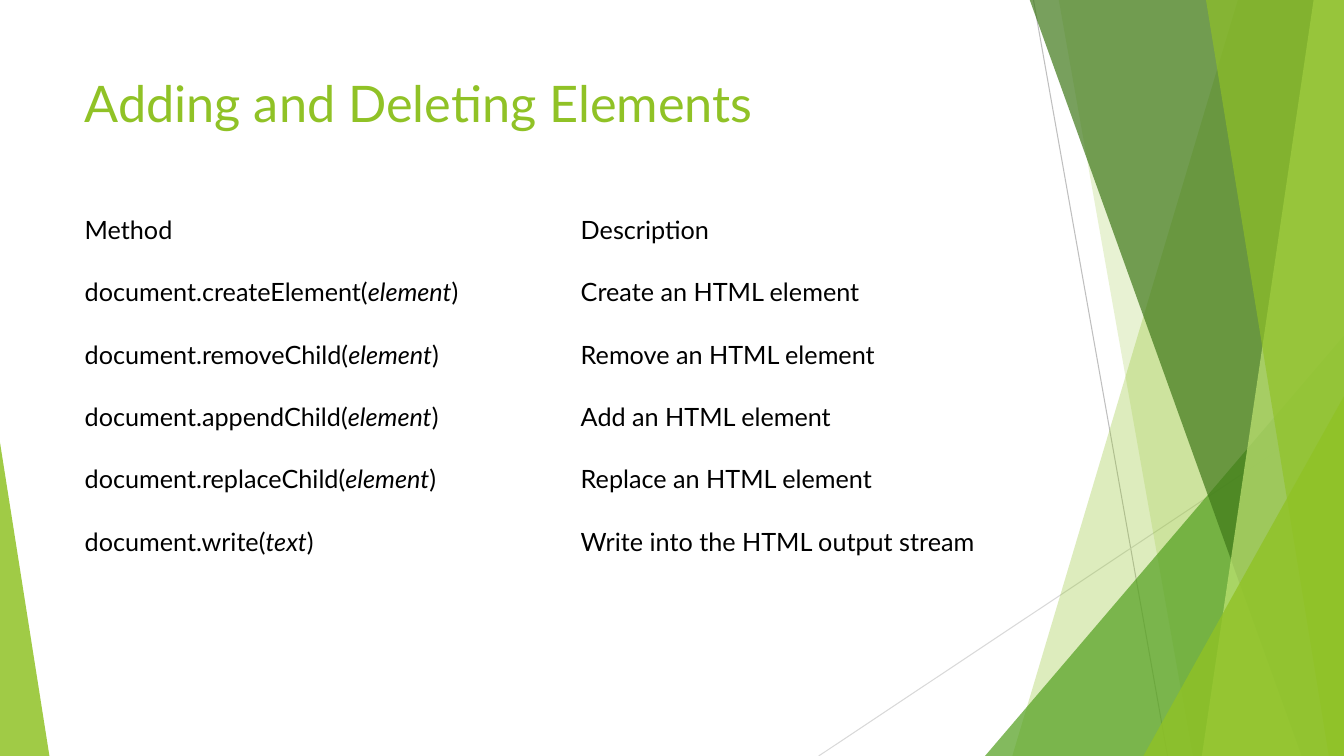
from dataclasses import dataclass

from lxml.etree import SubElement
from pptx import Presentation
from pptx.dml.color import RGBColor
from pptx.enum.shapes import MSO_CONNECTOR, MSO_SHAPE
from pptx.enum.text import MSO_ANCHOR, PP_ALIGN
from pptx.oxml.ns import qn
from pptx.util import Inches, Pt

COLORS = {
    "lime": "90C226",
    "green": "54A021",
    "forest": "3F7819",
    "pale": "C0E474",
    "gray": "BFBFBF",
    "silver": "D9D9D9",
    "black": "000000",
}
WIDTH, HEIGHT, BLEED = 13.33, 7.5, -0.01


@dataclass
class Ray:
    """A thin line between two points."""
    start: tuple[float, float]
    end: tuple[float, float]
    color: str


@dataclass
class Blade:
    """A panel reaching the right edge, given by its top and bottom left corners."""
    top: float
    bottom: float
    color: str
    opacity: int


@dataclass
class Wedge:
    """A right triangle on the bottom edge with its peak at the left (0) or right (1)."""
    left: float
    top: float
    width: float
    peak: int
    color: str
    opacity: int


@dataclass
class Method:
    """A document method, its argument and its description."""
    name: str
    argument: str
    description: str


RAYS = [
    Ray((10.25, 0), (11.58, HEIGHT), "gray"),
    Ray((WIDTH, 4.03), (8.12, HEIGHT), "silver"),
]
FACETS = [
    Blade(12.28, 10.04, "lime", 30),
    Blade(10.5, 11.83, "lime", 20),
    Wedge(9.77, 3.33, 3.56, 1, "green", 72),
    Blade(10.21, 12.91, "forest", 70),
    Blade(13.03, 11.92, "pale", 70),
    Blade(11.96, 13.18, "lime", 65),
    Wedge(11.34, 3.93, 1.99, 1, "lime", 80),
    Wedge(0, 4.39, 0.49, 0, "lime", 85),
]
METHODS = [
    Method("createElement", "element", "Create an HTML element"),
    Method("removeChild", "element", "Remove an HTML element"),
    Method("appendChild", "element", "Add an HTML element"),
    Method("replaceChild", "element", "Replace an HTML element"),
    Method("write", "text", "Write into the HTML output stream"),
]


def rgb(name: str) -> RGBColor:
    """Look up a named colour."""
    return RGBColor.from_string(COLORS[name])


def add_text(para, text: str, *, size: int = 18, color: str = "black", italic: bool = False) -> None:
    """Append a formatted span to a paragraph."""
    span = para.add_run()
    span.text = text
    span.font.name = "Lato"
    span.font.size = Pt(size)
    span.font.italic = italic
    span.font.color.rgb = rgb(color)


def draw_ray(page, ray: Ray) -> None:
    """Draw a thin line without a shadow."""
    points = [Inches(value) for value in (*ray.start, *ray.end)]
    line = page.shapes.add_connector(MSO_CONNECTOR.STRAIGHT, *points)
    line.line.color.rgb = rgb(ray.color)
    line.line.width = Pt(0.75)
    SubElement(line.element.spPr, qn("a:effectLst"))


def draw_facet(page, facet: Blade | Wedge) -> None:
    """Draw a translucent blade or wedge."""
    if isinstance(facet, Blade):
        corners = [(facet.top, BLEED), (WIDTH, BLEED), (WIDTH, HEIGHT), (facet.bottom, HEIGHT)]
        points = [(Inches(x), Inches(y)) for x, y in corners]
        outline = page.shapes.build_freeform(*points[0])
        outline.add_line_segments(points[1:], close=True)
        box = outline.convert_to_shape()
    else:
        box = page.shapes.add_shape(
            MSO_SHAPE.ISOSCELES_TRIANGLE, Inches(facet.left), Inches(facet.top),
            Inches(facet.width), Inches(HEIGHT - facet.top))
        box.adjustments[0] = facet.peak
    box.shadow.inherit = False
    box.line.fill.background()
    box.fill.solid()
    box.fill.fore_color.rgb = rgb(facet.color)
    tint = next(box.element.spPr.iter(qn("a:srgbClr")))
    SubElement(tint, qn("a:alpha"), val=str(facet.opacity * 1000))


def place_title(page, text: str) -> None:
    """Fill the title placeholder and bring it in front of the facets."""
    title = page.shapes.title
    title.left, title.top = Inches(0.74), Inches(0.67)
    title.width, title.height = Inches(9.4), Inches(1.44)
    title.text_frame.vertical_anchor = MSO_ANCHOR.TOP
    para = title.text_frame.paragraphs[0]
    para.alignment = PP_ALIGN.LEFT
    add_text(para, text, size=36, color="lime")
    title.element.getparent().append(title.element)


def add_methods(page) -> None:
    """Add the table of methods and descriptions."""
    rows = [(["Method"], ["Description"])]
    rows += [([f"document.{method.name}(", method.argument, ")"], [method.description])
             for method in METHODS]
    table = page.shapes.add_table(
        len(rows), 2, Inches(0.74), Inches(1.97), Inches(9.84), Inches(3.71)).table
    table.first_row = table.horz_banding = False
    for row, contents in zip(table.rows, rows):
        for cell, parts in zip(row.cells, contents):
            cell.fill.background()
            cell.vertical_anchor = MSO_ANCHOR.MIDDLE
            for index, part in enumerate(parts):
                add_text(cell.text_frame.paragraphs[0], part, italic=index == 1)


def main() -> None:
    """Build and save the deck."""
    deck = Presentation()
    deck.slide_width, deck.slide_height = Inches(WIDTH), Inches(HEIGHT)
    page = deck.slides.add_slide(deck.slide_layouts.get_by_name("Title Only"))
    for ray in RAYS:
        draw_ray(page, ray)
    for facet in FACETS:
        draw_facet(page, facet)
    place_title(page, "Adding and Deleting Elements")
    add_methods(page)
    deck.save("out.pptx")


main()
